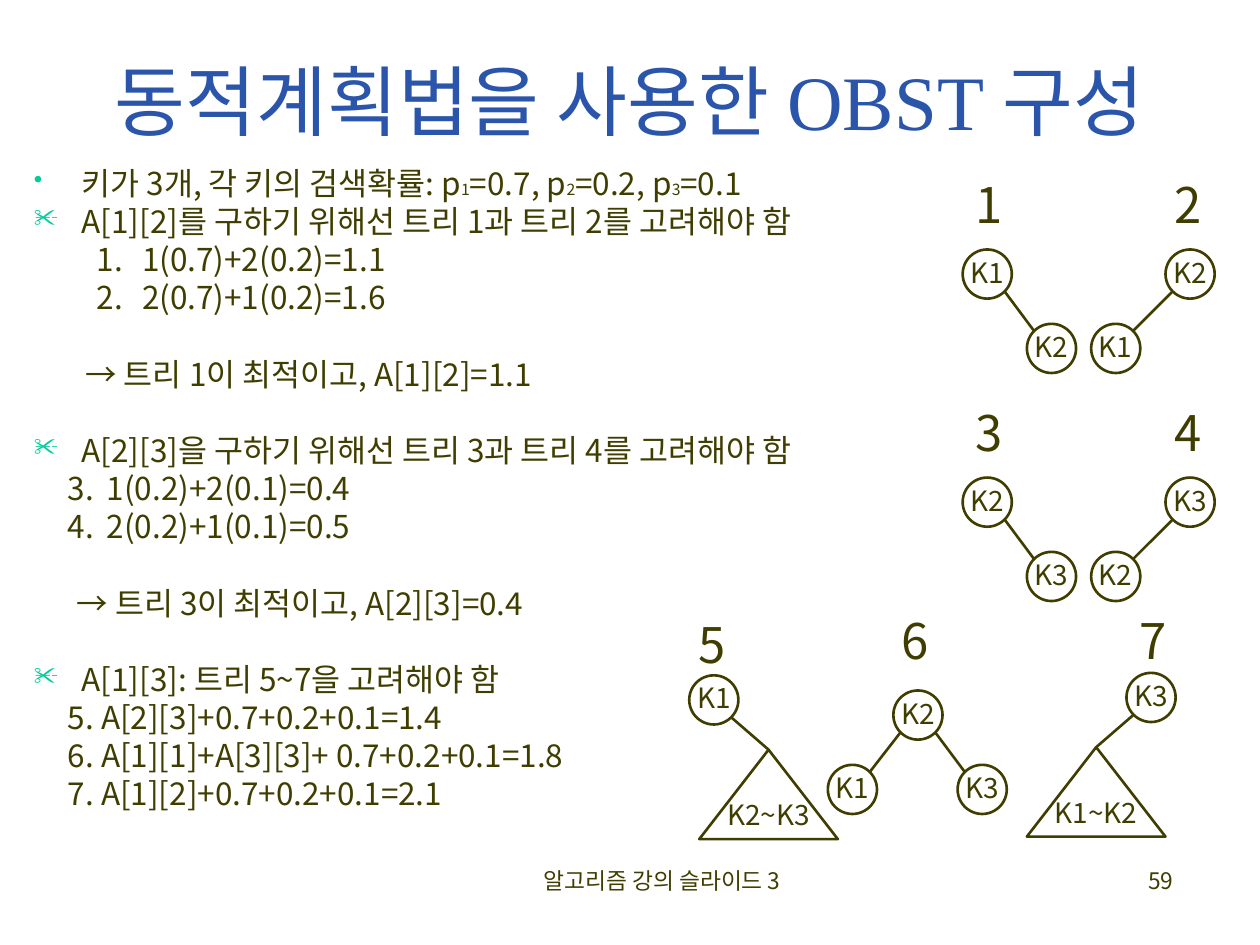
from dataclasses import dataclass
from typing import Optional

from lxml import etree
from pptx import Presentation
from pptx.dml.color import RGBColor
from pptx.enum.shapes import MSO_CONNECTOR, MSO_SHAPE
from pptx.enum.text import MSO_ANCHOR, PP_ALIGN
from pptx.oxml.ns import qn
from pptx.util import Inches, Pt

STRAIGHT = MSO_CONNECTOR.STRAIGHT
ELLIPSE, TRIANGLE = MSO_SHAPE.OVAL, MSO_SHAPE.ISOSCELES_TRIANGLE
LEFT, CENTER, RIGHT = PP_ALIGN.LEFT, PP_ALIGN.CENTER, PP_ALIGN.RIGHT
TOP, MIDDLE = MSO_ANCHOR.TOP, MSO_ANCHOR.MIDDLE


@dataclass(frozen=True)
class Theme:
    ink: RGBColor = RGBColor(0x3F, 0x3E, 0x00)
    heading: RGBColor = RGBColor(0x2A, 0x55, 0xAA)
    bullet: str = "00CC99"
    title_font: str = "Times New Roman"
    body_font: str = "Noto Sans CJK KR"
    arrow_font: str = "Arial"
    title_size: int = 44
    label_size: int = 28
    body_size: int = 18
    node_size: int = 16
    footer_size: int = 13
    subscript_size: int = 9
    line_width: float = 1.5


THEME = Theme()
DIAMETER = 0.39
DIAGONAL = DIAMETER / 2 * 0.5 ** 0.5
SUBTREE_WIDTH, SUBTREE_HEIGHT = 1.1, 0.71
ROW_GAP, SECTION_GAP = 4.5, 26.3


@dataclass(frozen=True)
class Span:
    text: str
    size: int = THEME.body_size
    font: str = THEME.body_font


@dataclass(frozen=True)
class Row:
    spans: tuple[Span, ...]
    margin: float
    hanging: float = 0
    bullet: str = ""
    gap: float = ROW_GAP


@dataclass(frozen=True)
class Node:
    key: str
    left: float
    top: float
    subtree: bool = False


@dataclass(frozen=True)
class Tree:
    label: str
    label_left: float
    label_top: float
    root: Node
    children: tuple[Node, ...]


def bullet_row(*spans: Span, mark: str = "✂", gap: float = ROW_GAP) -> Row:
    return Row(spans, 0.38, 0.38, mark, gap)


def step_row(text: str, margin: float = 0.27, hanging: float = 0) -> Row:
    return Row((Span(text),), margin, hanging)


def result_row(text: str, margin: float) -> Row:
    return Row((Span("→ ", font=THEME.arrow_font), Span(text)), margin, gap=SECTION_GAP)


def subscript(text: str) -> Span:
    return Span(text, THEME.subscript_size)


ROWS = (
    bullet_row(Span("키가 3개, 각 키의 검색확률: p"), subscript("1"), Span("=0.7, p"),
               subscript("2"), Span("=0.2, p"), subscript("3"), Span("=0.1"), mark="•", gap=0),
    bullet_row(Span("A[1][2]를 구하기 위해선 트리 1과 트리 2를 고려해야 함")),
    step_row("1.\t1(0.7)+2(0.2)=1.1", 0.86, 0.36),
    step_row("2.\t2(0.7)+1(0.2)=1.6", 0.86, 0.36),
    result_row("트리 1이 최적이고, A[1][2]=1.1", 0.41),
    bullet_row(Span("A[2][3]을 구하기 위해선 트리 3과 트리 4를 고려해야 함"), gap=SECTION_GAP),
    step_row("3.\t1(0.2)+2(0.1)=0.4", 0.58, 0.31),
    step_row("4.\t2(0.2)+1(0.1)=0.5", 0.58, 0.31),
    result_row("트리 3이 최적이고, A[2][3]=0.4", 0.34),
    bullet_row(Span("A[1][3]: 트리 5~7을 고려해야 함"), gap=SECTION_GAP),
    step_row("5. A[2][3]+0.7+0.2+0.1=1.4"),
    step_row("6. A[1][1]+A[3][3]+ 0.7+0.2+0.1=1.8"),
    step_row("7. A[1][2]+0.7+0.2+0.1=2.1"),
)


def two_key_trees(first: int, low: str, high: str, top: float) -> tuple[Tree, Tree]:
    child_top, label_top = top + 0.59, top - 0.59
    return (
        Tree(str(first), 7.64, label_top, Node(low, 7.64, top), (Node(high, 8.15, child_top),)),
        Tree(str(first + 1), 9.22, label_top, Node(high, 9.25, top), (Node(low, 8.66, child_top),)),
    )


TREES = (
    *two_key_trees(1, "K1", "K2", 1.98),
    *two_key_trees(3, "K2", "K3", 3.79),
    Tree("5", 5.44, 4.88, Node("K1", 5.47, 5.36), (Node("K2~K3", 5.55, 5.95, True),)),
    Tree("6", 7.05, 4.85, Node("K2", 7.09, 5.48), (Node("K1", 6.57, 6.07), Node("K3", 7.6, 6.07))),
    Tree("7", 8.94, 4.85, Node("K3", 8.94, 5.34), (Node("K1~K2", 8.15, 5.93, True),)),
)


def add_span(para, span: Span, color: RGBColor = THEME.ink) -> None:
    run = para.add_run()
    run.text = span.text
    run.font.size = Pt(span.size)
    run.font.name = span.font
    run.font.color.rgb = color


def add_text(page, left: float, top: float, width: float, height: float, span: Span,
             align=CENTER, anchor=TOP, color: RGBColor = THEME.ink,
             spacing: Optional[float] = None, wrap: bool = True) -> None:
    box = page.shapes.add_textbox(Inches(left), Inches(top), Inches(width), Inches(height))
    frame = box.text_frame
    frame.word_wrap = wrap
    frame.vertical_anchor = anchor
    para = frame.paragraphs[0]
    para.alignment = align
    para.line_spacing = spacing
    add_span(para, span, color)


def set_indent(para, row: Row) -> None:
    props = para._p.get_or_add_pPr()
    props.set("marL", str(Inches(row.margin)))
    props.set("indent", str(-Inches(row.hanging)))
    if not row.bullet:
        etree.SubElement(props, qn("a:buNone"))
        return
    color = etree.SubElement(props, qn("a:buClr"))
    etree.SubElement(color, qn("a:srgbClr"), val=THEME.bullet)
    etree.SubElement(props, qn("a:buSzPct"), val="80000")
    etree.SubElement(props, qn("a:buChar"), char=row.bullet)


def add_rows(page, rows: tuple[Row, ...]) -> None:
    box = page.shapes.add_textbox(Inches(0.17), Inches(1.31), Inches(7.83), Inches(5.28))
    frame = box.text_frame
    frame.word_wrap = True
    for index, row in enumerate(rows):
        para = frame.add_paragraph() if index else frame.paragraphs[0]
        set_indent(para, row)
        para.alignment = LEFT
        para.line_spacing = 0.8
        para.space_before = Pt(row.gap)
        for span in row.spans:
            add_span(para, span)


def add_node(page, node: Node):
    kind = TRIANGLE if node.subtree else ELLIPSE
    width = SUBTREE_WIDTH if node.subtree else DIAMETER
    height = SUBTREE_HEIGHT if node.subtree else DIAMETER
    shape = page.shapes.add_shape(kind, Inches(node.left), Inches(node.top), Inches(width), Inches(height))
    shape.shadow.inherit = False
    shape.fill.background()
    shape.line.color.rgb = THEME.ink
    shape.line.width = Pt(THEME.line_width)
    frame = shape.text_frame
    frame.word_wrap = False
    frame.vertical_anchor = MIDDLE
    para = frame.paragraphs[0]
    para.alignment = CENTER
    para.line_spacing = 0.9
    add_span(para, Span(node.key, THEME.node_size))
    return shape


def add_branch(page, root: Node, child: Node, child_shape) -> None:
    radius = DIAMETER / 2
    child_middle = child.left + (SUBTREE_WIDTH / 2 if child.subtree else radius)
    side = 1 if child_middle > root.left + radius else -1
    start_x = root.left + radius + side * DIAGONAL
    start_y = root.top + radius + DIAGONAL
    end_x = child_middle - side * DIAGONAL
    end_y = child.top + radius - DIAGONAL
    line = page.shapes.add_connector(STRAIGHT, Inches(start_x), Inches(start_y), Inches(end_x), Inches(end_y))
    if child.subtree:
        line.end_connect(child_shape, 0)
    line.line.color.rgb = THEME.ink
    line.line.width = Pt(THEME.line_width)
    etree.SubElement(line._element.spPr, qn("a:effectLst"))


def add_tree(page, tree: Tree) -> None:
    add_text(page, tree.label_left, tree.label_top, 0.42, 0.52,
             Span(tree.label, THEME.label_size), spacing=0.9, wrap=False)
    add_node(page, tree.root)
    for child in tree.children:
        add_branch(page, tree.root, child, add_node(page, child))


def main() -> None:
    deck = Presentation()
    deck.slide_width, deck.slide_height = Inches(10), Inches(7.5)
    page = deck.slides.add_slide(deck.slide_layouts[6])
    add_text(page, 0.27, 0.28, 9.45, 1.02, Span("동적계획법을 사용한 OBST 구성", THEME.title_size, THEME.title_font),
             anchor=MIDDLE, color=THEME.heading)
    add_text(page, 3.67, 6.83, 3.17, 0.5, Span("알고리즘 강의 슬라이드 3", THEME.footer_size))
    add_text(page, 7.33, 6.83, 2.08, 0.5, Span("59", THEME.footer_size), align=RIGHT)
    add_rows(page, ROWS)
    for tree in TREES:
        add_tree(page, tree)
    deck.save("out.pptx")


if __name__ == "__main__":
    main()
